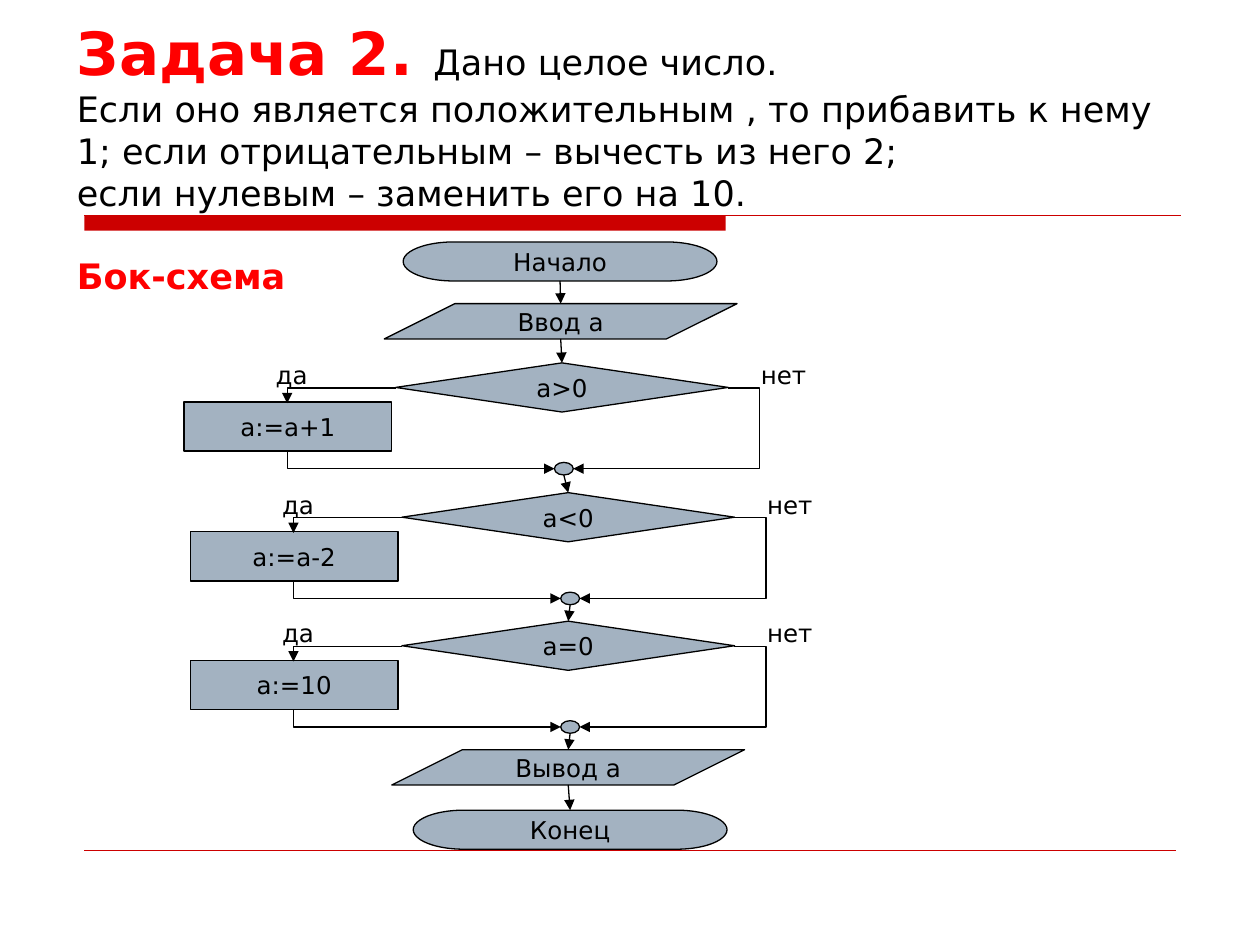
from lxml import etree
from pptx import Presentation
from pptx.dml.color import RGBColor
from pptx.enum.shapes import MSO_CONNECTOR, MSO_SHAPE
from pptx.enum.text import MSO_ANCHOR, MSO_AUTO_SIZE, PP_ALIGN
from pptx.oxml.ns import qn
from pptx.util import Inches, Pt

STRAIGHT, ELBOW = MSO_CONNECTOR.STRAIGHT, MSO_CONNECTOR.ELBOW
TERMINATOR = MSO_SHAPE.FLOWCHART_TERMINATOR
DATA = MSO_SHAPE.FLOWCHART_DATA
DECISION = MSO_SHAPE.FLOWCHART_DECISION
PROCESS = MSO_SHAPE.FLOWCHART_PROCESS
JUNCTION = MSO_SHAPE.FLOWCHART_CONNECTOR
RECTANGLE = MSO_SHAPE.RECTANGLE
LEFT, CENTER = PP_ALIGN.LEFT, PP_ALIGN.CENTER
TOP, MIDDLE, BOTTOM = MSO_ANCHOR.TOP, MSO_ANCHOR.MIDDLE, MSO_ANCHOR.BOTTOM
NO_FIT, GROW = MSO_AUTO_SIZE.NONE, MSO_AUTO_SIZE.SHAPE_TO_FIT_TEXT

BLACK = RGBColor(0, 0, 0)
RED = RGBColor(0xFF, 0, 0)
DARK_RED = RGBColor(0xCC, 0, 0)
STEEL = RGBColor(0xA3, 0xB2, 0xC1)
FONT = "DejaVu Sans"

# Content
HEADING = "Задача 2. "
TASK = ("Дано целое число. \n"
        "Если оно является положительным , то прибавить к нему 1; "
        "если отрицательным – вычесть из него 2; \n"
        "если нулевым – заменить его на 10. ")
SUBHEADING = "Бок-схема"
YES, NO = "да", "нет"
# condition, action, left and top of the decision
STAGES = [("a>0", "a:=a+1", 3.14, 2.88),
          ("a<0", "a:=a-2", 3.19, 3.91),
          ("a=0", "a:=10", 3.19, 4.93)]
# kind, text, left, top, width, height
START = (TERMINATOR, "Начало", 3.2, 1.92, 2.49, 0.31)
INPUT = (DATA, "Ввод a", 3.05, 2.41, 2.8, 0.28)
OUTPUT = (DATA, "Вывод a", 3.11, 5.95, 2.8, 0.28)
END = (TERMINATOR, "Конец", 3.28, 6.43, 2.49, 0.31)

prs = Presentation()
prs.slide_width, prs.slide_height = Inches(10), Inches(7.5)
s = prs.slides.add_slide(prs.slide_layouts[5])


def add_text(p, text, size=14, color=BLACK, bold=False, align=LEFT):
    p.alignment = align
    for i, line in enumerate(text.split("\n")):
        if i:
            p.add_line_break()
        r = p.add_run()
        r.text = line
        r.font.name, r.font.size = FONT, Pt(size)
        r.font.bold, r.font.color.rgb = bold, color


def add_block(kind, text, x, y, w, h, fill=STEEL, line=BLACK):
    sp = s.shapes.add_shape(kind, Inches(x), Inches(y), Inches(w), Inches(h))
    sp.shadow.inherit = False
    sp.fill.solid()
    sp.fill.fore_color.rgb = fill
    if line is None:
        sp.line.fill.background()
    else:
        sp.line.color.rgb, sp.line.width = line, Pt(0.75)
    if text:
        tf = sp.text_frame
        tf.word_wrap, tf.vertical_anchor = False, MIDDLE
        add_text(tf.paragraphs[0], text, align=CENTER)
    return sp


def add_label(text, x, y):
    tf = s.shapes.add_textbox(Inches(x), Inches(y), Inches(0.93), Inches(0.34)).text_frame
    tf.word_wrap, tf.vertical_anchor, tf.auto_size = True, TOP, GROW
    add_text(tf.paragraphs[0], text)


def add_line(kind, x1, y1, x2, y2, color=BLACK, width=0.75, arrow=True):
    cn = s.shapes.add_connector(kind, Inches(x1), Inches(y1), Inches(x2), Inches(y2))
    cn.line.color.rgb, cn.line.width = color, Pt(width)
    if arrow:
        etree.SubElement(cn.line._get_or_add_ln(), qn("a:tailEnd"), type="triangle")
    etree.SubElement(cn._element.spPr, qn("a:effectLst"))
    return cn


def one_bend(cn):
    cn._element.spPr.find(qn("a:prstGeom")).set("prst", "bentConnector2")


def add_down_then_right(x1, y1, x2, y2):
    """A one-bend elbow, turned a quarter so that it leaves downwards."""
    cx, cy, dx, dy = (x1 + x2) / 2, (y1 + y2) / 2, (x2 - x1) / 2, (y2 - y1) / 2
    cn = add_line(ELBOW, cx + dy, cy - dx, cx - dy, cy + dx)
    cn._element.spPr.find(qn("a:xfrm")).set("rot", "16200000")
    one_bend(cn)


def add_flow(upper, lower):
    """Straight arrow from the bottom of one block to the top of the next."""
    ends = [((b.left + b.width / 2) / Inches(1), y / Inches(1))
            for b, y in ((upper, upper.top + upper.height), (lower, lower.top))]
    cn = add_line(STRAIGHT, *ends[0], *ends[1])
    four_sided = (TERMINATOR, DECISION)
    if upper.auto_shape_type in four_sided:
        cn.begin_connect(upper, 2)
    if lower.auto_shape_type in four_sided:
        cn.end_connect(lower, 0)


def add_stage(condition, action, x, y):
    """Decision, its action on the left and the junction; returns top and bottom block."""
    axis, mid = x + 1.32, y + 0.2
    right, action_x, join_y = x + 2.64, x - 0.86, y + 0.84
    decision = add_block(DECISION, condition, x, y, 2.64, 0.39)
    add_block(PROCESS, action, x - 1.68, y + 0.31, 1.65, 0.39)
    junction = add_block(JUNCTION, "", axis - 0.06, join_y - 0.05, 0.15, 0.1)
    one_bend(add_line(ELBOW, x, mid, action_x, y + 0.32))
    bypass = add_line(ELBOW, right, mid, axis + 0.09, join_y)
    bypass._element.spPr.find(qn("a:prstGeom")).get_or_add_avLst()
    guides = bypass._element.spPr.find(qn("a:prstGeom")).find(qn("a:avLst"))
    etree.SubElement(guides, qn("a:gd"), name="adj1", fmla="val -20400")
    add_down_then_right(action_x, y + 0.7, axis - 0.06, join_y)
    add_label(YES, x - 1.05, y - 0.07)
    add_label(NO, x + 2.8, y - 0.07)
    return decision, junction


# Rules of the slide design
add_block(RECTANGLE, "", 0.67, 1.71, 5.09, 0.12, fill=DARK_RED, line=None)
add_line(STRAIGHT, 0.67, 1.71, 9.37, 1.71, DARK_RED, arrow=False)
add_line(STRAIGHT, 0.67, 6.75, 9.33, 6.75, DARK_RED, 0.25, arrow=False)

# Title
title = s.shapes.title
title.left, title.top, title.width, title.height = map(Inches, (0.51, 1.07, 8.94, 1.33))
tf = title.text_frame
tf.word_wrap, tf.vertical_anchor, tf.auto_size = True, BOTTOM, NO_FIT
p = tf.paragraphs[0]
add_text(p, HEADING, size=34, color=RED, bold=True)
add_text(p, TASK, size=20)
p = tf.add_paragraph()
p.space_before = Pt(23)
add_text(p, SUBHEADING, size=20, color=RED, bold=True)

# Flowchart: each pair holds the entry and exit block of a step
steps = [(add_block(*block),) * 2 for block in (START, INPUT)]
steps += [add_stage(*stage) for stage in STAGES]
steps += [(add_block(*block),) * 2 for block in (OUTPUT, END)]
for step, following in zip(steps, steps[1:]):
    add_flow(step[1], following[0])

prs.save("out.pptx")
